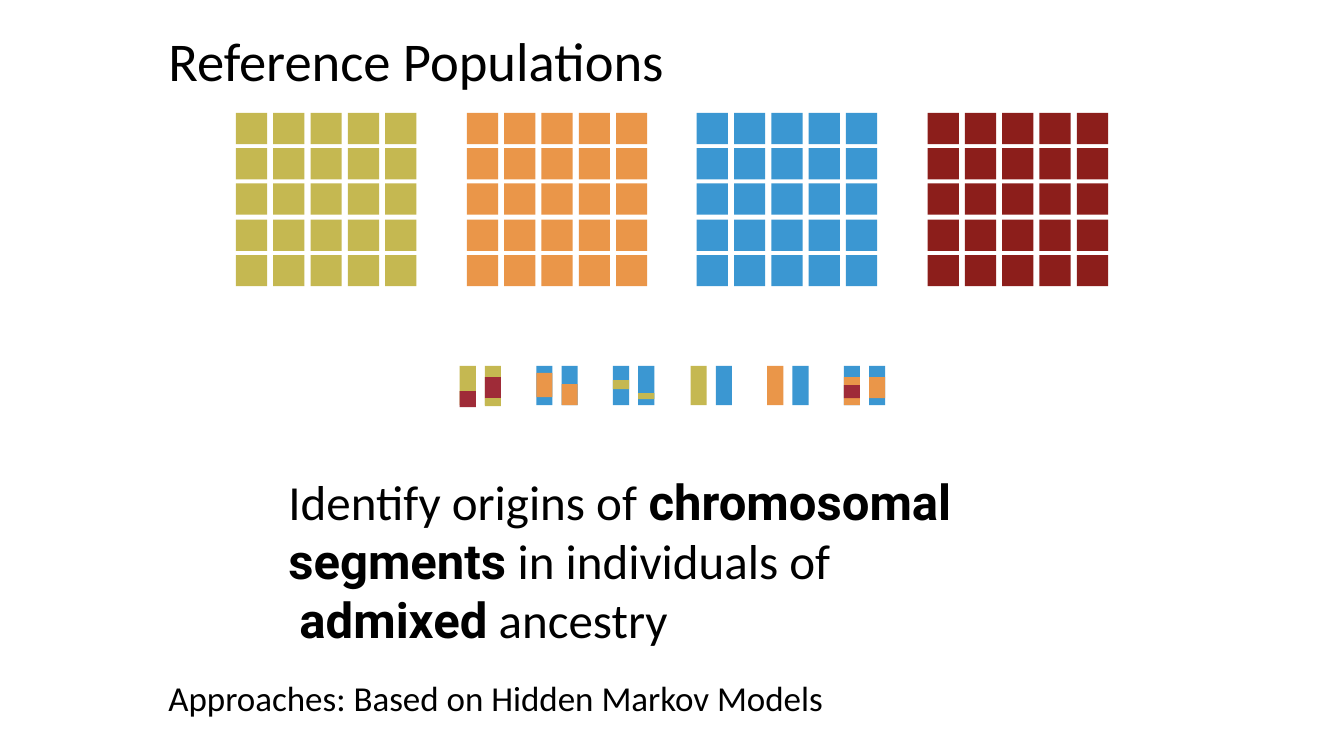
from dataclasses import dataclass

from pptx import Presentation
from pptx.dml.color import RGBColor
from pptx.enum.shapes import MSO_SHAPE
from pptx.enum.text import MSO_ANCHOR, MSO_AUTO_SIZE, PP_ALIGN
from pptx.util import Pt

RECTANGLE = MSO_SHAPE.RECTANGLE
BOTTOM = MSO_ANCHOR.BOTTOM
NO_AUTOFIT = MSO_AUTO_SIZE.NONE
LEFT = PP_ALIGN.LEFT
EMU_PER_PX = 9144
TITLE_ONLY = 5


@dataclass(frozen=True)
class Theme:
    """Colours, fonts and type sizes of the slide."""
    ink: str = "000000"
    olive: str = "C5B851"
    orange: str = "EA9649"
    blue: str = "3B97D2"
    maroon: str = "8C1E1B"
    crimson: str = "9F2B38"
    body_font: str = "Calibri"
    strong_font: str = "Roboto"
    title_size: int = 39
    claim_size: int = 35
    note_size: int = 25


THEME = Theme()

POPULATIONS = (THEME.olive, THEME.orange, THEME.blue, THEME.maroon)
FIRST_POPULATION, LAST_POPULATION = 234, 920
POPULATION_TOP = 112
GRID_COUNT = 5
SQUARE = 31
COLUMN_PITCH, ROW_PITCH = 37, 35.25

CHROMOSOME_LEFT, CHROMOSOME_TOP = 456, 363
CHROMOSOME_WIDTH, CHROMOSOME_HEIGHT = 16, 39
PAIR_PITCH, PARTNER_OFFSET = 76.2, 25

INDIVIDUALS = (
    ((THEME.olive, (THEME.crimson, 25, 16)),
     (THEME.olive, (THEME.crimson, 11, 21), (THEME.olive, 32, 8))),
    ((THEME.blue, (THEME.orange, 7, 24)),
     (THEME.blue, (THEME.orange, 18, 21))),
    ((THEME.blue, (THEME.olive, 14, 9)),
     (THEME.blue, (THEME.olive, 27, 6))),
    ((THEME.olive,), (THEME.blue,)),
    ((THEME.orange,), (THEME.blue,)),
    ((THEME.blue, (THEME.orange, 11, 28), (THEME.crimson, 19, 13)),
     (THEME.blue, (THEME.orange, 11, 21))),
)

CLAIM = (
    (("Identify origins of ", False), ("chromosomal segments", True),
     (" in individuals of", False)),
    ((" ", False), ("admixed", True), (" ancestry", False)),
)


def px(length):
    """Turn px into EMU."""
    return round(length) * EMU_PER_PX


def add_block(shapes, left, top, width, height, color):
    """Add a plain filled rectangle."""
    block = shapes.add_shape(RECTANGLE, px(left), px(top), px(width), px(height))
    block.shadow.inherit = False
    block.fill.solid()
    block.fill.fore_color.rgb = RGBColor.from_string(color)
    block.line.fill.background()


def add_population(slide, left, color):
    """Add a square grid of individuals from one population."""
    members = slide.shapes.add_group_shape().shapes
    for row in range(GRID_COUNT):
        for column in range(GRID_COUNT):
            add_block(members, left + column * COLUMN_PITCH,
                      POPULATION_TOP + row * ROW_PITCH, SQUARE, SQUARE, color)


def add_individual(slide, left, pair):
    """Add a chromosome pair with its ancestry segments."""
    segments_group = slide.shapes.add_group_shape().shapes
    for index, (base, *segments) in enumerate(pair):
        chromosome_left = left + index * PARTNER_OFFSET
        for color, offset, height in ((base, 0, CHROMOSOME_HEIGHT), *segments):
            add_block(segments_group, chromosome_left, CHROMOSOME_TOP + offset,
                      CHROMOSOME_WIDTH, height, color)


def style_font(font, size, family=THEME.body_font):
    """Set size, family and ink colour of a font."""
    font.size = Pt(size)
    font.name = family
    font.color.rgb = RGBColor.from_string(THEME.ink)


def set_frame(holder, left, top, width, height):
    """Place a text holder and return its bottom-anchored frame."""
    holder.left, holder.top = px(left), px(top)
    holder.width, holder.height = px(width), px(height)
    frame = holder.text_frame
    frame.margin_left = frame.margin_right = 0
    frame.margin_top = frame.margin_bottom = 0
    frame.auto_size = NO_AUTOFIT
    frame.word_wrap = True
    frame.vertical_anchor = BOTTOM
    return frame


def write_line(frame, text, size):
    """Write one left-aligned line in the body font."""
    frame.text = text
    line = frame.paragraphs[0]
    line.alignment = LEFT
    style_font(line.font, size)


def write_claim(frame):
    """Write the claim with its emphasised words."""
    for index, phrases in enumerate(CLAIM):
        sentence = frame.add_paragraph() if index else frame.paragraphs[0]
        sentence.alignment = LEFT
        for text, strong in phrases:
            phrase = sentence.add_run()
            phrase.text = text
            phrase.font.bold = strong
            family = THEME.strong_font if strong else THEME.body_font
            style_font(phrase.font, THEME.claim_size, family)


def add_frame(slide, left, top, width, height):
    """Add a text box and return its frame."""
    box = slide.shapes.add_textbox(0, 0, 0, 0)
    return set_frame(box, left, top, width, height)


def main():
    """Build and save the slide."""
    deck = Presentation()
    deck.slide_width, deck.slide_height = px(1333), px(750)
    slide = deck.slides.add_slide(deck.slide_layouts[TITLE_ONLY])

    title = set_frame(slide.shapes.title, 167, 21, 615, 71)
    write_line(title, "Reference Populations", THEME.title_size)

    population_pitch = (LAST_POPULATION - FIRST_POPULATION) / (len(POPULATIONS) - 1)
    for index, color in enumerate(POPULATIONS):
        add_population(slide, round(FIRST_POPULATION + index * population_pitch), color)
    for index, pair in enumerate(INDIVIDUALS):
        add_individual(slide, CHROMOSOME_LEFT + index * PAIR_PITCH, pair)

    write_claim(add_frame(slide, 286, 457, 762, 186))
    approaches = add_frame(slide, 167, 663, 1000, 50)
    write_line(approaches, "Approaches: Based on Hidden Markov Models", THEME.note_size)
    deck.save("out.pptx")


if __name__ == "__main__":
    main()
